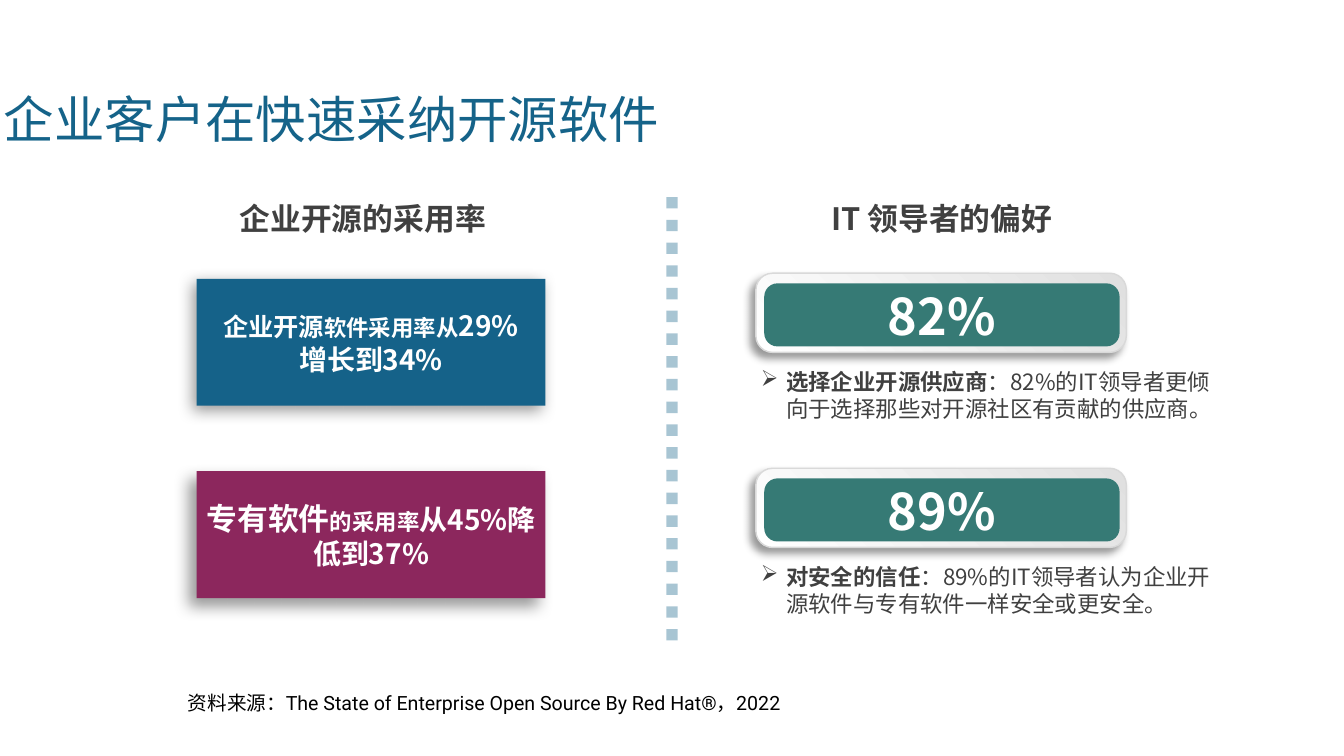
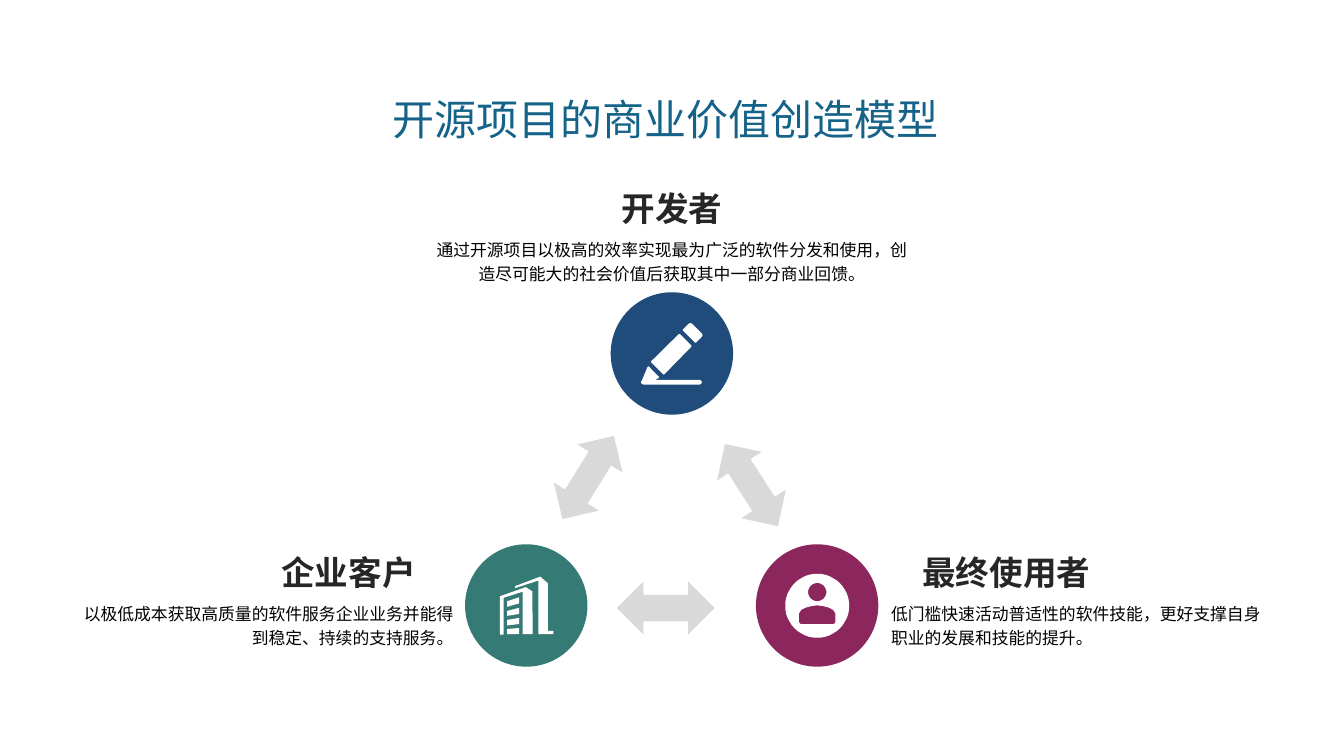
"""Build two slides on enterprise adoption of open source and its value model."""
import math
from dataclasses import dataclass

import pptx
import pptx.dml.color
import pptx.enum.dml
import pptx.enum.shapes
import pptx.enum.text
import pptx.oxml
import pptx.oxml.ns
import pptx.util
from lxml import etree

Cm = pptx.util.Cm
Pt = pptx.util.Pt
qn = pptx.oxml.ns.qn
SHAPE = pptx.enum.shapes.MSO_SHAPE
ALIGN = pptx.enum.text.PP_ALIGN
ANCHOR = pptx.enum.text.MSO_ANCHOR
AUTO = pptx.enum.text.MSO_AUTO_SIZE


@dataclass(frozen=True)
class Theme:
    """Colours, fonts and type sizes of the deck."""

    title: str = "156389"
    blue: str = "156289"
    navy: str = "1F4C7B"
    teal: str = "367A75"
    plum: str = "8C275D"
    grey: str = "404040"
    label: str = "262626"
    black: str = "000000"
    white: str = "FFFFFF"
    silver: str = "D9D9D9"
    bezel: str = "E0E0E0"
    cjk: str = "Noto Sans CJK JP"
    latin: str = "Roboto"
    huge: int = 72
    title_small: int = 60
    name: int = 48
    heading: int = 44
    figure: int = 40
    lead: int = 36
    body: int = 32
    source: int = 28
    small: int = 24


T = Theme()
WIDTH, HEIGHT = 67.74, 38.1
CIRCLE = 6.17


def rgb(colour):
    """Turn a hex string into a colour object."""
    return pptx.dml.color.RGBColor.from_string(colour)


def cm(*lengths):
    """Convert numbers to centimetre lengths."""
    return [Cm(n) for n in lengths]


def write(tf, runs, colour, font=T.cjk, align=ALIGN.CENTER, anchor=ANCHOR.TOP,
          insets=(0.25, 0.13), spacing=None, bullet=None, wrap=True, grow=False):
    """Fill a text frame with one paragraph of (text, size, bold) runs."""
    tf.word_wrap = wrap
    tf.auto_size = AUTO.SHAPE_TO_FIT_TEXT if grow else AUTO.NONE
    tf.vertical_anchor = anchor
    tf.margin_left = tf.margin_right = Cm(insets[0])
    tf.margin_top = tf.margin_bottom = Cm(insets[1])
    p = tf.paragraphs[0]
    p.alignment = align
    if spacing:
        p.line_spacing = spacing
    if bullet:
        pPr = p._p.get_or_add_pPr()
        pPr.set("marL", str(Cm(1.27)))
        pPr.set("indent", str(-Cm(1.27)))
        etree.SubElement(pPr, qn("a:buChar")).set("char", bullet)
    for text, size, bold in runs:
        r = p.add_run()
        r.text = text
        r.font.size, r.font.bold, r.font.name = Pt(size), bold, font
        r.font.color.rgb = rgb(colour)
        ea = etree.SubElement(r._r.get_or_add_rPr(), qn("a:ea"))
        ea.set("typeface", T.cjk)


def add_text(s, box, runs, colour, **style):
    """Add a text box."""
    sp = s.shapes.add_textbox(*cm(*box))
    write(sp.text_frame, runs, colour, **style)


def add_title_slide(prs, title, box, size, font, align):
    """Add a title-only slide with its title in place."""
    s = prs.slides.add_slide(prs.slide_layouts[5])
    sp = s.shapes.title
    sp.left, sp.top, sp.width, sp.height = cm(*box)
    write(sp.text_frame, [(title, size, False)], T.title, font=font, align=align,
          anchor=ANCHOR.MIDDLE, insets=(0.2, 0.2), grow=True)
    return s


def add_block(shapes, kind, box, colour):
    """Add a flat preset shape without outline."""
    sp = shapes.add_shape(kind, *cm(*box))
    sp.shadow.inherit = False
    sp.fill.solid()
    sp.fill.fore_color.rgb = rgb(colour)
    sp.line.fill.background()
    return sp


def add_alpha(clr, percent):
    """Give a colour element an opacity."""
    etree.SubElement(clr, qn("a:alpha")).set("val", str(percent * 1000))


def cast_shadow(sp, blur, distance):
    """Cast a soft shadow to the lower left."""
    effects = sp._element.spPr.find(qn("a:effectLst"))
    shadow = etree.SubElement(effects, qn("a:outerShdw"), blurRad=str(Pt(blur)),
                              dist=str(Pt(distance)), dir="8100000",
                              algn="tr", rotWithShape="0")
    clr = etree.SubElement(shadow, qn("a:srgbClr"), val=T.black)
    add_alpha(clr, 40)


def add_panel(s, top, colour, runs, distance, insets):
    """Add a rectangle with an adoption figure."""
    sp = add_block(s.shapes, SHAPE.RECTANGLE, (9.91, top, 17.58, 6.4), colour)
    cast_shadow(sp, 22, distance)
    write(sp.text_frame, runs, T.white, anchor=ANCHOR.MIDDLE, insets=insets)


def add_preference(s, top, figure, claim, detail):
    """Add a framed percentage with its bullet below."""
    shapes = s.shapes.add_group_shape().shapes
    frame = add_block(shapes, SHAPE.ROUNDED_RECTANGLE, (38.1, top, 18.67, 3.99), T.white)
    frame.fill.gradient()
    frame.fill.gradient_angle = 225
    for stop, position, colour in zip(frame.fill.gradient_stops, (0, 1), (T.bezel, T.white)):
        stop.position = position
        stop.color.rgb = rgb(colour)
    frame.line.color.rgb = rgb(T.silver)
    frame.line.width = Pt(2)
    cast_shadow(frame, 12, 10)
    badge = add_block(shapes, SHAPE.ROUNDED_RECTANGLE,
                      (38.52, top + 0.51, 17.91, 3.18), T.teal)
    for sp in (frame, badge):
        sp.adjustments[0] = 0.21
    write(badge.text_frame, [(figure, T.huge, True)], T.white,
          anchor=ANCHOR.MIDDLE, insets=(0, 0))
    add_text(s, (38.1, top + 4.65, 24.18, 3),
             [(claim, T.body, True), (detail, T.body, False)],
             T.grey, align=ALIGN.LEFT, bullet="➢", grow=True)


def add_divider(s, x, top, bottom):
    """Add the dotted vertical divider."""
    line = s.shapes.add_connector(pptx.enum.shapes.MSO_CONNECTOR.STRAIGHT,
                                  *cm(x, top, x, bottom))
    line.line.color.rgb = rgb(T.blue)
    line.line.width = Pt(16.25)
    line.line.dash_style = pptx.enum.dml.MSO_LINE.ROUND_DOT
    spPr = line._element.spPr
    add_alpha(spPr.find(".//" + qn("a:srgbClr")), 37)
    etree.SubElement(spPr, qn("a:effectLst"))


def add_icon(s, left, top, contours):
    """Add a white outline whose points are hundredths of a centimetre."""
    fb = s.shapes.build_freeform(*contours[0][0], scale=Cm(0.01))
    for i, points in enumerate(contours):
        if i:
            fb.move_to(*points[0])
        fb.add_line_segments(points[1:], close=True)
    sp = fb.convert_to_shape(*cm(left, top))
    sp.shadow.inherit = False
    sp.fill.solid()
    sp.fill.fore_color.rgb = rgb(T.white)
    sp.line.fill.background()


def ring(x, y, radius, count=48):
    """Return points round a circle."""
    angles = [2 * math.pi * i / count for i in range(count)]
    return [(x + radius * math.cos(a), y + radius * math.sin(a)) for a in angles]


def pencil():
    """Return the contours of the pencil."""
    return [
        [(38, 218), (91, 272), (89, 277), (69, 287), (297, 287), (303, 290), (307, 298),
         (303, 306), (297, 310), (13, 310), (2, 305), (0, 298), (3, 292), (33, 221)],
        [(190, 56), (196, 56), (254, 114), (254, 119), (117, 259), (112, 259),
         (51, 198), (51, 193)],
        [(249, 0), (257, 3), (307, 53), (310, 61), (307, 69), (277, 99), (272, 99),
         (211, 38), (211, 33), (241, 3)],
    ]


def building():
    """Return the contours of the office building."""
    tower = [(241, 274), (241, 33), (203, 0), (76, 48), (76, 58), (193, 20),
             (193, 290), (269, 290), (269, 274)]
    front = [(163, 74), (130, 53), (0, 99), (0, 292), (18, 292), (18, 107),
             (114, 76), (114, 290), (165, 290)]
    windows = [[(36, a), (97, b), (97, c), (36, d)] for a, b, c, d in (
        (124, 104, 135, 152), (173, 157, 188, 198),
        (218, 208, 239, 246), (264, 259, 290, 290))]
    return [tower, *windows, front]


def person():
    """Return the contours of the user badge."""
    half = [(0, 160), (27, 163), (58, 171), (81, 183), (92, 201), (92, 246), (84, 254)]
    torso = [(162 + x, y) for x, y in half] + [(162 - x, y) for x, y in half[:0:-1]]
    return [ring(162, 162, 161), torso, ring(162, 93, 46)]


def add_role(s, circle, colour, name, name_box, text, text_box, name_align, text_align):
    """Add a role: circle, name and description."""
    add_block(s.shapes, SHAPE.OVAL, (*circle, CIRCLE, CIRCLE), colour)
    add_text(s, name_box, [(name, T.name, True)], T.label, font=T.latin, align=name_align,
             anchor=ANCHOR.BOTTOM, insets=(0.13, 0.13), wrap=False)
    add_text(s, text_box, [(text, T.small, False)], T.black, font=T.latin,
             align=text_align, insets=(0.13, 0.13), spacing=1.2)


def adoption_slide(prs):
    """Build the slide on adoption rates and preferences."""
    s = add_title_slide(prs, "企业客户在快速采纳开源软件", (0, 4.24, WIDTH, 3.48),
                        T.huge, T.cjk, ALIGN.LEFT)
    add_text(s, (7.47, 34.67, 33.86, 1.45),
             [("资料来源：The State of Enterprise Open Source By Red Hat®，2022", T.source, False)],
             T.black, font=T.latin, grow=True)
    for left, width, heading in ((7.47, 21.64, "企业开源的采用率"),
                                 (37.36, 20.22, "IT 领导者的偏好")):
        add_text(s, (left, 9.93, width, 2.13), [(heading, T.heading, True)], T.grey, grow=True)
    add_preference(s, 13.77, "82%", "选择企业开源供应商",
                   "：82%的IT领导者更倾向于选择那些对开源社区有贡献的供应商。")
    add_preference(s, 23.6, "89%", "对安全的信任",
                   "：89%的IT领导者认为企业开源软件与专有软件一样安全或更安全。")
    add_panel(s, 14.05, T.blue, [("企业开源", T.lead, True), ("软件采用率从", T.body, True),
                                 ("29%增长到34%", T.figure, True)], 8, (0.76, 0.38))
    add_panel(s, 23.75, T.plum, [("专有软件", T.heading, True), ("的采用率", T.body, True),
                                 ("从45%降低到37%", T.figure, True)], 15, (0.25, 0.13))
    add_divider(s, WIDTH / 2, 9.93, 32.46)


def model_slide(prs):
    """Build the slide on the value creation model."""
    s = add_title_slide(prs, "开源项目的商业价值创造模型", (13.13, 4.5, 40.84, 2.97),
                        T.title_small, T.latin, ALIGN.CENTER)
    add_role(s, (23.44, 27.43), T.teal, "企业客户", (14.05, 27.74, 8.92, 2.24),
             "以极低成本获取高质量的软件服务企业业务并能得到稳定、持续的支持服务。",
             (3.73, 30.07, 19.25, 3.53), ALIGN.LEFT, ALIGN.RIGHT)
    add_role(s, (38.1, 27.43), T.plum, "最终使用者", (46.36, 27.74, 8.92, 2.24),
             "低门槛快速活动普适性的软件技能，更好支撑自身职业的发展和技能的提升。",
             (44.78, 30.07, 19.25, 3.53), ALIGN.LEFT, ALIGN.LEFT)
    add_role(s, (30.78, 14.73), T.navy, "开发者", (32.03, 9.4, 3.68, 2.24),
             "通过开源项目以极高的效率实现最为广泛的软件分发和使用，"
             "创造尽可能大的社会价值后获取其中一部分商业回馈。",
             (21.84, 11.73, 24.03, 2.64), ALIGN.CENTER, ALIGN.CENTER)
    add_icon(s, 32.31, 16.28, pencil())
    add_icon(s, 25.2, 29.06, building())
    add_icon(s, 39.57, 28.91, person())
    for left, top, angle in ((27.18, 22.73, 301.8), (35.41, 23.11, 237.2), (31.09, 29.31, 0)):
        arrow = add_block(s.shapes, SHAPE.LEFT_RIGHT_ARROW, (left, top, 4.93, 2.67), T.silver)
        arrow.rotation = angle


def main():
    """Build and save the deck."""
    prs = pptx.Presentation()
    prs.slide_width, prs.slide_height = cm(WIDTH, HEIGHT)
    adoption_slide(prs)
    model_slide(prs)
    prs.save("out.pptx")


if __name__ == "__main__":
    main()
